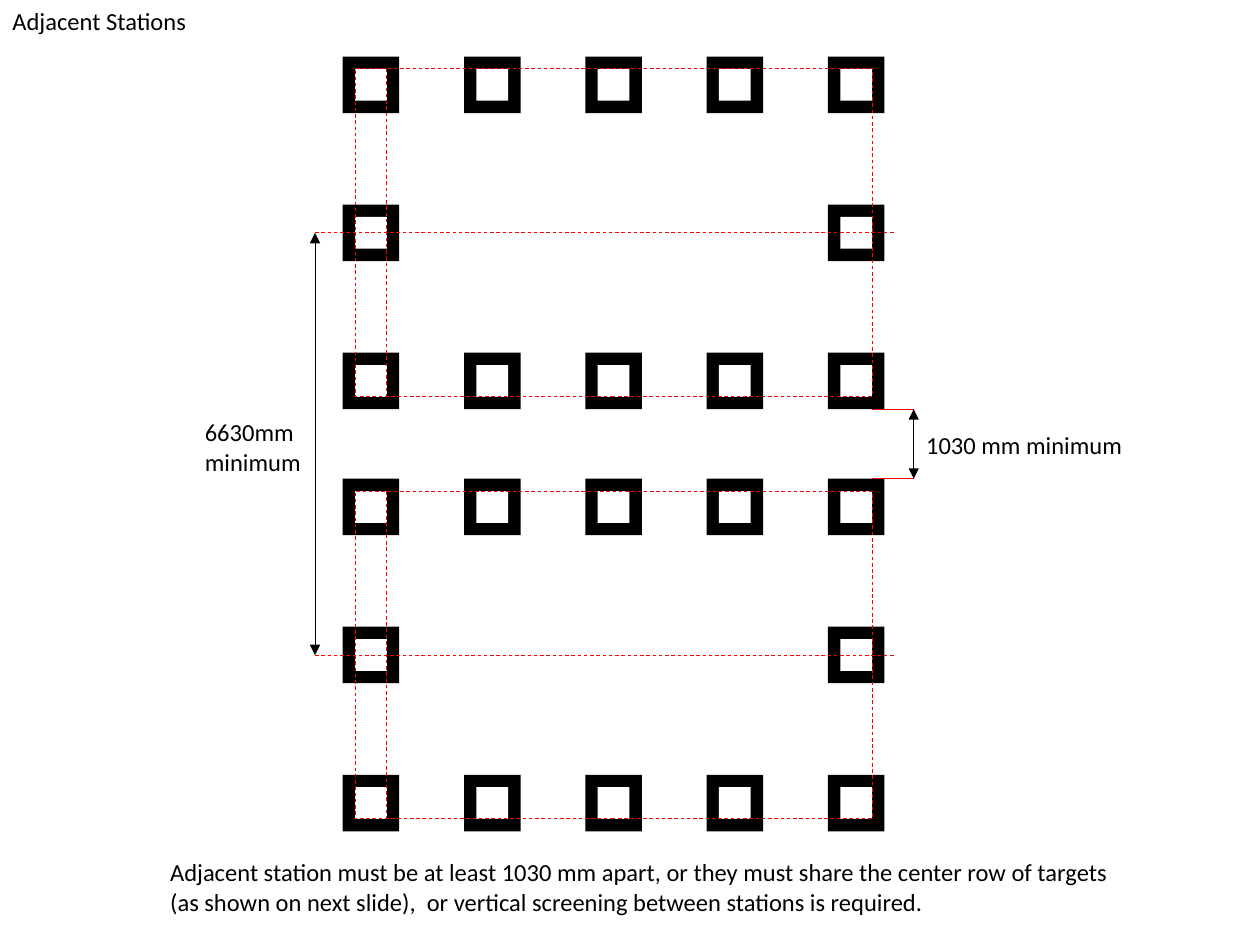
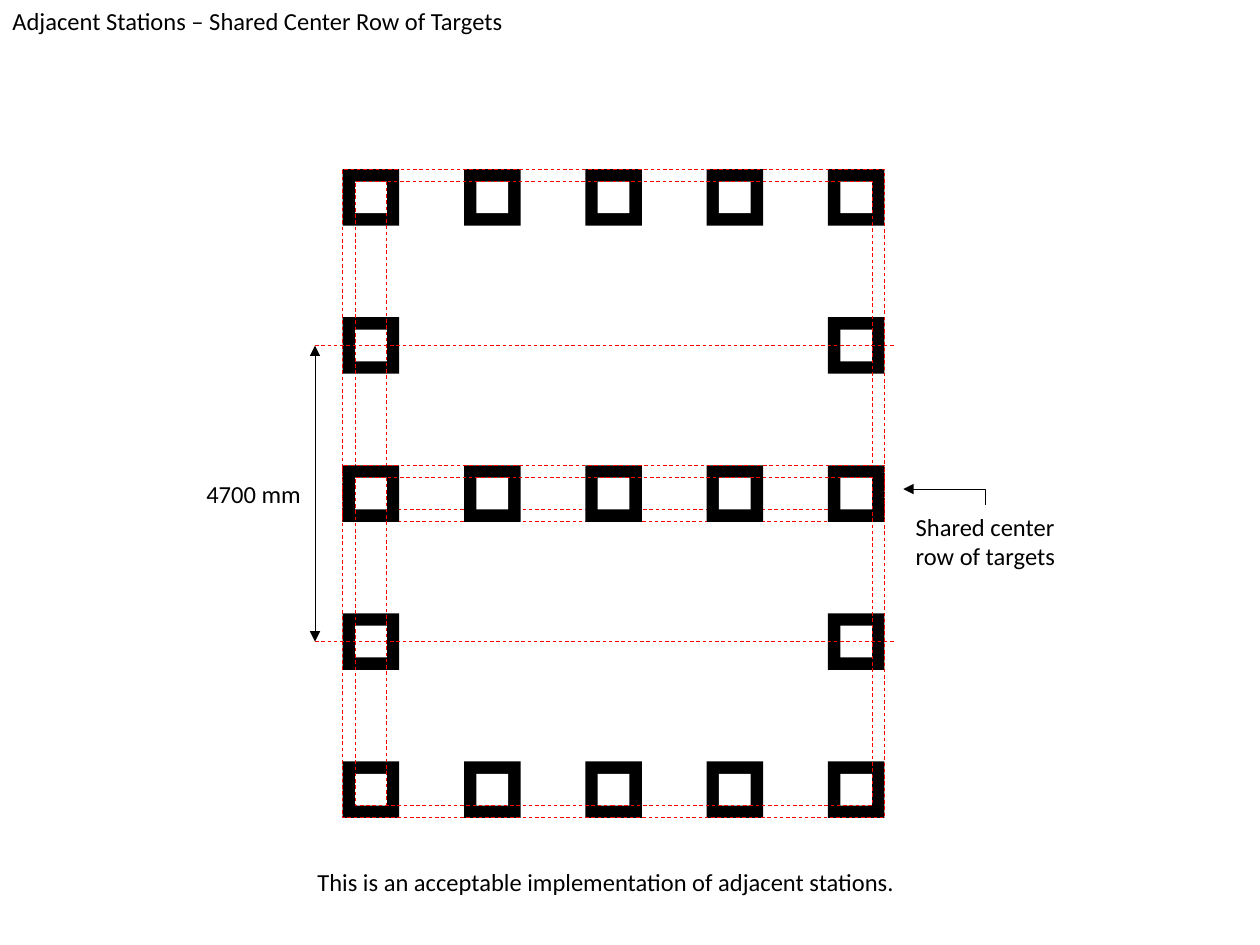
"""Build two slides on the spacing of adjacent target stations."""
from dataclasses import dataclass

from lxml import etree
from pptx import Presentation
from pptx.dml.color import RGBColor
from pptx.enum.dml import MSO_LINE
from pptx.enum.shapes import MSO_CONNECTOR, MSO_SHAPE
from pptx.enum.text import MSO_ANCHOR, MSO_AUTO_SIZE, PP_ALIGN
from pptx.oxml.ns import qn
from pptx.util import Cm, Pt

RECT = MSO_SHAPE.RECTANGLE
STRAIGHT, ELBOW = MSO_CONNECTOR.STRAIGHT, MSO_CONNECTOR.ELBOW
DASH = MSO_LINE.DASH
TITLE_ONLY = 5


@dataclass(frozen=True)
class Theme:
    """Colours, font and sizes shared by the slides."""
    ink: RGBColor = RGBColor(0, 0, 0)
    paper: RGBColor = RGBColor(255, 255, 255)
    guide: RGBColor = RGBColor(255, 0, 0)
    font: str = "Calibri"
    text_size: Pt = Pt(14)
    line_width: Pt = Pt(0.5)


THEME = Theme()
FRAME_FORMAT = {"word_wrap": False, "auto_size": MSO_AUTO_SIZE.SHAPE_TO_FIT_TEXT,
                "vertical_anchor": MSO_ANCHOR.TOP,
                "margin_left": Cm(0.25), "margin_right": Cm(0.25),
                "margin_top": Cm(0.13), "margin_bottom": Cm(0.13)}
FONT_FORMAT = {"name": THEME.font, "size": THEME.text_size}

TARGET, RIM = 1.14, 0.25
HOLE = TARGET - 2 * RIM
LEFT, SPAN_X, SPAN_Y = 6.91, 9.78, 5.97
WIDTH, HEIGHT = SPAN_X + TARGET, SPAN_Y + TARGET
AXIS_LEFT, AXIS_RIGHT = 6.35, 18.03
GAP_LEFT, GAP_RIGHT = LEFT + WIDTH - RIM, 18.42
ROW_COLUMNS = [range(5), (0, 4), range(5)]


def set_format(obj, values):
    """Set each attribute in values on obj."""
    for name, value in values.items():
        setattr(obj, name, value)


def write(sp, text):
    """Put text into a shape, one paragraph for each line."""
    tf = sp.text_frame
    tf.text = text
    set_format(tf, FRAME_FORMAT)
    for p in tf.paragraphs:
        p.alignment = PP_ALIGN.LEFT
        for r in p.runs:
            set_format(r.font, FONT_FORMAT)
            r.font.color.rgb = THEME.ink


def add_label(s, text, x, y, w, h):
    """Add a text box."""
    sp = s.shapes.add_textbox(Cm(x), Cm(y), Cm(w), Cm(h))
    write(sp, text)
    return sp


def add_titled_slide(prs, title, width):
    """Add a slide with its title in the top left corner."""
    s = prs.slides.add_slide(prs.slide_layouts[TITLE_ONLY])
    box = {"left": 0, "top": 0, "width": Cm(width), "height": Cm(0.86)}
    set_format(s.shapes.title, box)
    write(s.shapes.title, title)
    return s


def style_line(line, color, dash=None):
    """Give a line its colour, width and dash."""
    line.color.rgb = color
    set_format(line, {"width": THEME.line_width, "dash_style": dash})


def add_rect(s, x, y, w, h, fill=None):
    """Add a filled rectangle, or a dashed guide frame without fill."""
    sp = s.shapes.add_shape(RECT, Cm(x), Cm(y), Cm(w), Cm(h))
    sp.shadow.inherit = False
    if fill is None:
        sp.fill.background()
        style_line(sp.line, THEME.guide, DASH)
    else:
        sp.fill.solid()
        sp.fill.fore_color.rgb = fill
        sp.line.fill.background()


def add_line(s, x1, y1, x2, y2, color, dash=None, heads=(), kind=STRAIGHT):
    """Add a connector with triangles at the named ends."""
    c = s.shapes.add_connector(kind, Cm(x1), Cm(y1), Cm(x2), Cm(y2))
    style_line(c.line, color, dash)
    ln = c.line._get_or_add_ln()
    for end in heads:
        etree.SubElement(ln, qn(f"a:{end}"), type="triangle")
    etree.SubElement(c._element.spPr, qn("a:effectLst"))
    return c


def add_dimension(s, x, y1, y2):
    """Add a vertical arrow with a head at both ends."""
    add_line(s, x, y1, x, y2, THEME.ink, heads=("headEnd", "tailEnd"))


def add_target(s, x, y):
    """Add a square target with a square hole."""
    add_rect(s, x, y, TARGET, TARGET, THEME.ink)
    add_rect(s, x + RIM, y + RIM, HOLE, HOLE, THEME.paper)


def add_station(s, top, rows=(0, 1, 2), outlined=False):
    """Add the targets of a station and its guide lines."""
    for row in rows:
        for col in ROW_COLUMNS[row]:
            add_target(s, LEFT + col * SPAN_X / 4, top + row * SPAN_Y / 2)
    x, middle = LEFT + RIM + HOLE, top + HEIGHT / 2
    add_line(s, x, top + RIM, x, top + HEIGHT - RIM, THEME.guide, DASH)
    add_rect(s, LEFT + RIM, top + RIM, WIDTH - 2 * RIM, HEIGHT - 2 * RIM)
    add_line(s, AXIS_LEFT, middle, AXIS_RIGHT, middle, THEME.guide, DASH)
    if outlined:
        add_rect(s, LEFT, top, WIDTH, HEIGHT)


def add_axis_dimension(s, tops):
    """Measure between the middles of two stations."""
    add_dimension(s, AXIS_LEFT, *(top + HEIGHT / 2 for top in tops))


def build_separate(prs):
    """Show two stations with a gap between them."""
    s = add_titled_slide(prs, "Adjacent Stations", 4.17)
    tops = upper, lower = 1.14, 9.65
    for top in tops:
        add_station(s, top)
    add_axis_dimension(s, tops)
    add_label(s, "6630mm\nminimum", 3.88, 8.28, 2.47, 1.45)
    gap = upper + HEIGHT, lower
    for y in gap:
        add_line(s, GAP_LEFT, y, GAP_RIGHT, y, THEME.guide)
    add_dimension(s, GAP_RIGHT, *gap)
    add_label(s, "1030 mm minimum", GAP_RIGHT, 8.53, 4.5, 0.86)
    add_label(s, "Adjacent station must be at least 1030 mm apart, or they must "
              "share the center row of targets\n(as shown on next slide),  or "
              "vertical screening between stations is required.",
              3.18, 17.15, 19.58, 1.45)


def build_shared(prs):
    """Show two stations that share a row of targets."""
    s = add_titled_slide(prs, "Adjacent Stations – Shared Center Row of Targets", 10.49)
    tops = upper, lower = 3.41, 3.41 + SPAN_Y
    add_station(s, upper, rows=(0, 1), outlined=True)
    add_station(s, lower, outlined=True)
    add_axis_dimension(s, tops)
    add_label(s, "4700 mm", 3.91, 9.53, 2.44, 0.86)
    note = add_label(s, "Shared center\nrow of targets", 18.21, 10.19, 3.33, 1.45)
    c = add_line(s, 18.21, 9.86, 19.88, 10.19, THEME.ink, heads=("headEnd",), kind=ELBOW)
    c._element.spPr.find(qn("a:prstGeom")).set("prst", "bentConnector2")
    c.end_connect(note, 0)
    add_label(s, "This is an acceptable implementation of adjacent stations.",
              6.15, 17.35, 12.27, 0.86)


def main():
    """Build and save the presentation."""
    prs = Presentation()
    set_format(prs, {"slide_width": Cm(25.4), "slide_height": Cm(19.05)})
    build_separate(prs)
    build_shared(prs)
    prs.save("out.pptx")


if __name__ == "__main__":
    main()
